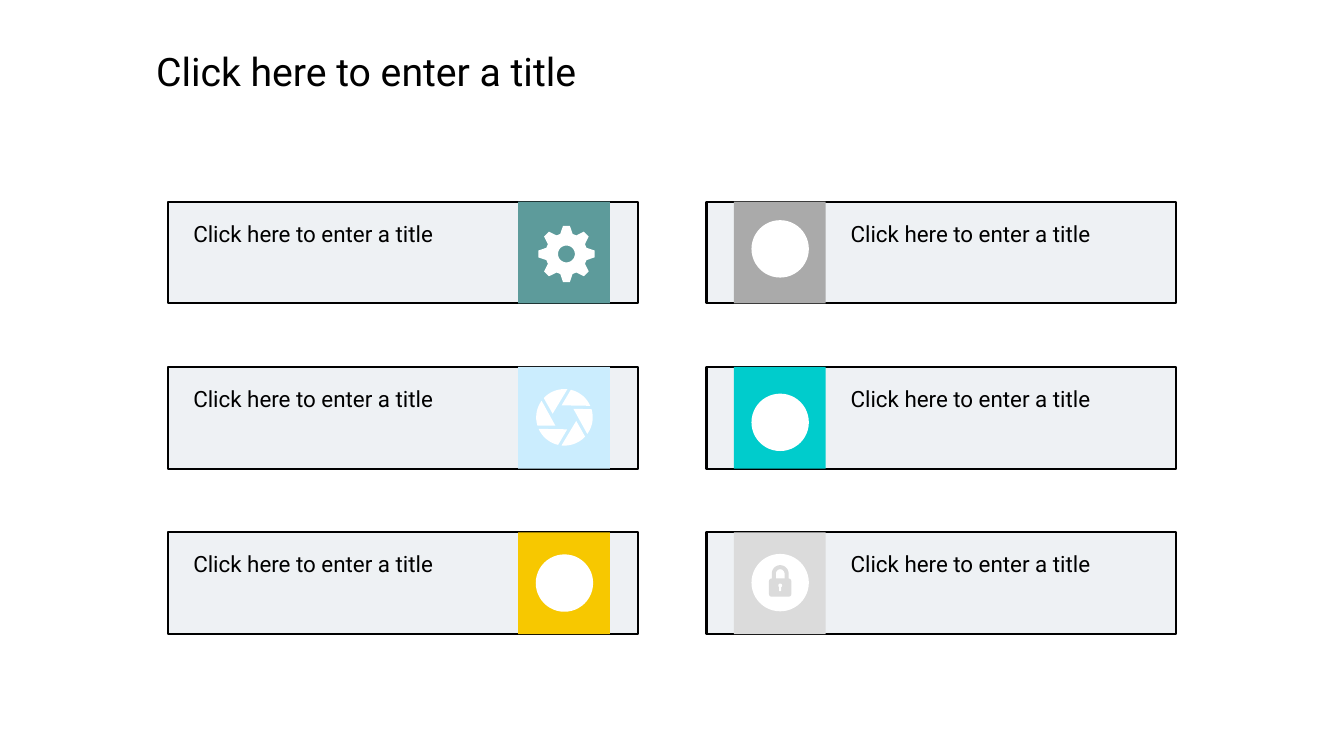
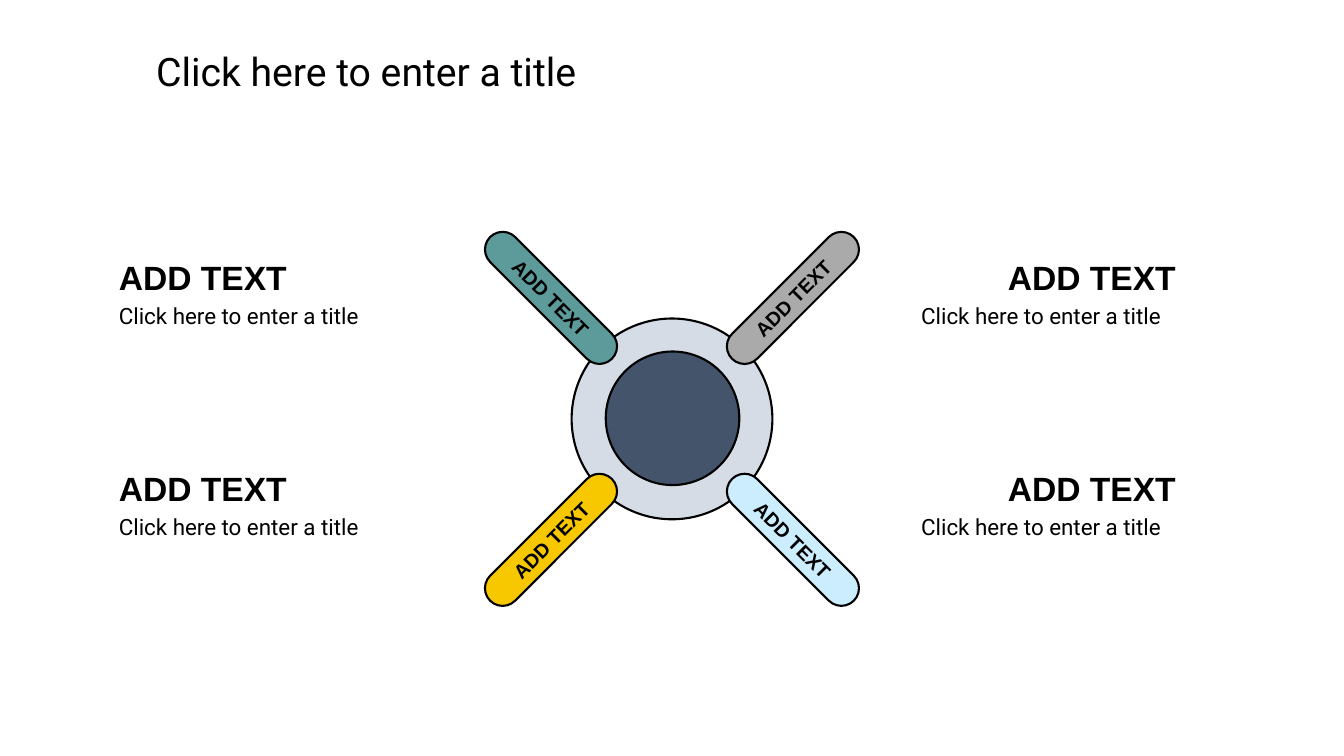
import math
from dataclasses import dataclass

import lxml.etree
import pptx
import pptx.dml.color
import pptx.enum.shapes
import pptx.enum.text
import pptx.oxml.ns
import pptx.util

Pt = pptx.util.Pt
SHAPE = pptx.enum.shapes.MSO_SHAPE
ALIGN = pptx.enum.text.PP_ALIGN
PROMPT = "Click here to enter a title"
LABEL = "ADD TEXT"


@dataclass(frozen=True)
class Theme:
    ink: str = "000000"
    white: str = "FFFFFF"
    mist: str = "D6DCE5"
    navy: str = "44546A"
    teal: str = "5D9B9B"
    grey: str = "AAAAAA"
    sky: str = "CBEDFE"
    cyan: str = "00CCCC"
    yellow: str = "F7C800"
    silver: str = "DBDBDB"
    body_font: str = "Roboto"
    label_font: str = "Arial"
    title_size: int = 28
    heading_size: int = 24
    body_size: int = 16
    label_size: int = 14
    outline: float = 1.5


THEME = Theme()


def rgb(color):
    return pptx.dml.color.RGBColor.from_string(color)


def polar(x, y, radius, degrees):
    angle = math.radians(degrees)
    return x + radius * math.cos(angle), y + radius * math.sin(angle)


def arc(x, y, radius, start, end, step=6):
    count = math.ceil(abs(end - start) / step)
    return [polar(x, y, radius, start + (end - start) * i / count) for i in range(count + 1)]


def write_text(frame, text, *, size=THEME.body_size, font=THEME.body_font, bold=False,
               align=ALIGN.LEFT, spacing=None, wrap=True, grow=True, middle=False):
    frame.word_wrap = wrap
    auto = pptx.enum.text.MSO_AUTO_SIZE
    anchor = pptx.enum.text.MSO_ANCHOR
    frame.auto_size = auto.SHAPE_TO_FIT_TEXT if grow else auto.NONE
    frame.vertical_anchor = anchor.MIDDLE if middle else anchor.TOP
    paragraph = frame.paragraphs[0]
    paragraph.alignment = align
    paragraph.line_spacing = spacing
    run = paragraph.add_run()
    run.text = text
    run.font.size = Pt(size)
    run.font.name = font
    run.font.bold = bold
    run.font.color.rgb = rgb(THEME.ink)


class Deck:
    def __init__(self, theme):
        self.theme = theme
        self.deck = pptx.Presentation()
        self.deck.slide_width = Pt(960)
        self.deck.slide_height = Pt(540)
        self.slide = None

    def new_slide(self, title):
        self.slide = self.deck.slides.add_slide(self.deck.slide_layouts[6])
        self.text(title, 104.4, 30.2, 323.3, 41, size=self.theme.title_size, wrap=False)

    def text(self, text, left, top, width, height, **style):
        box = self.slide.shapes.add_textbox(Pt(left), Pt(top), Pt(width), Pt(height))
        write_text(box.text_frame, text, **style)

    def paint(self, shape, fill, outlined=False, opacity=100):
        shape.shadow.inherit = False
        shape.fill.solid()
        shape.fill.fore_color.rgb = rgb(fill)
        if opacity < 100:
            qn = pptx.oxml.ns.qn
            color = next(shape.fill._xPr.iter(qn("a:srgbClr")))
            lxml.etree.SubElement(color, qn("a:alpha"), val=str(opacity * 1000))
        if outlined:
            shape.line.color.rgb = rgb(self.theme.ink)
            shape.line.width = Pt(self.theme.outline)
        else:
            shape.line.fill.background()
        return shape

    def shape(self, kind, left, top, width, height, fill, **paint):
        shape = self.slide.shapes.add_shape(kind, Pt(left), Pt(top), Pt(width), Pt(height))
        return self.paint(shape, fill, **paint)

    def disk(self, x, y, radius, fill, **paint):
        return self.shape(SHAPE.OVAL, x - radius, y - radius, 2 * radius, 2 * radius, fill, **paint)

    def outline(self, contours, fill):
        contours = [[(Pt(x), Pt(y)) for x, y in contour] for contour in contours]
        builder = self.slide.shapes.build_freeform(*contours[0][0])
        for index, contour in enumerate(contours):
            if index:
                builder.move_to(*contour[0])
            builder.add_line_segments(contour[1:], close=True)
        self.paint(builder.convert_to_shape(), fill)

    def gear(self, x, y, tile):
        corners = ((15, -17), (20.2, -7), (20.2, 7), (15, 17))
        teeth = [polar(x, y, radius, tooth * 45 + turn)
                 for tooth in range(8) for radius, turn in corners]
        self.outline([teeth, arc(x, y, 6, 360, 0)], self.theme.white)

    def aperture(self, x, y, tile):
        blades = [arc(x, y, 20.2, start, start - 53) + [polar(x, y, 8.8, start - 79)]
                  for start in range(-84, 276, 60)]
        self.outline(blades, self.theme.white)

    def badge(self, x, y, tile):
        self.disk(x, y, 20.5, self.theme.white)

    def lock(self, x, y, tile):
        self.badge(x, y, tile)
        bow_y = y - 6.5
        shackle = ([(x - 6, y)] + arc(x, bow_y, 6, 180, 360) + [(x + 6, y), (x + 3.1, y)]
                   + arc(x, bow_y, 3.1, 360, 180) + [(x - 3.1, y)])
        self.outline([shackle], tile)
        body = self.shape(SHAPE.ROUNDED_RECTANGLE, x - 8, y - 3, 16, 13, tile)
        body.adjustments[0] = 0.15
        self.disk(x, y + 2, 1.4, self.theme.white)
        self.shape(SHAPE.RECTANGLE, x - 0.7, y + 2, 1.4, 4, self.theme.white)

    def card(self, left, top, tile_left, text_left, tile, icon, icon_x, icon_y):
        self.shape(SHAPE.RECTANGLE, left, top, 335.5, 72.7, self.theme.mist,
                   outlined=True, opacity=40)
        self.shape(SHAPE.RECTANGLE, tile_left, top, 65.5, 72.7, tile)
        icon(icon_x, icon_y, tile)
        self.text(PROMPT, text_left, top + 9.4, 229, 26.6)

    def spoke(self, x, y, rotation, fill):
        pill = self.shape(SHAPE.ROUNDED_RECTANGLE, x - 61.5, y - 12.6, 123, 25.2, fill,
                          outlined=True)
        pill.adjustments[0] = 0.5
        pill.rotation = rotation
        write_text(pill.text_frame, LABEL, size=self.theme.label_size,
                   font=self.theme.label_font, bold=True, align=ALIGN.CENTER,
                   wrap=False, grow=False, middle=True)

    def caption(self, heading_left, body_left, top):
        self.text(PROMPT, body_left, top + 38, 238.3, 26.6)
        self.text(LABEL, heading_left, top, 176.4, 38.9, size=self.theme.heading_size,
                  font=self.theme.label_font, bold=True, align=ALIGN.JUSTIFY, spacing=1.2)


def build_cards(deck):
    theme = deck.theme
    deck.new_slide(PROMPT)
    columns = (
        (120.2, 370.1, 131, (
            (theme.teal, deck.gear, 404.6, 181.4),
            (theme.sky, deck.aperture, 403.2, 298.1),
            (theme.yellow, deck.badge, 403.2, 416.5))),
        (504.7, 524.2, 600.5, (
            (theme.grey, deck.badge, 557.3, 177.8),
            (theme.cyan, deck.badge, 557.3, 301.7),
            (theme.silver, deck.lock, 557.3, 416.2))),
    )
    for left, tile_left, text_left, cards in columns:
        for row, card in enumerate(cards):
            deck.card(left, 144 + row * 118.1, tile_left, text_left, *card)


def build_hub(deck):
    theme = deck.theme
    deck.new_slide(PROMPT)
    x, y, reach = 480, 299.2, 86.4
    deck.disk(x, y, 71.7, theme.mist, outlined=True)
    spokes = ((-1, -1, theme.teal), (1, -1, theme.grey),
              (-1, 1, theme.yellow), (1, 1, theme.sky))
    for across, down, fill in spokes:
        rotation = 45 if across == down else 315
        deck.spoke(x + across * reach, y + down * reach, rotation, fill)
    deck.disk(x + 0.4, y - 0.4, 47.7, theme.navy, outlined=True)
    for heading_left, body_left in ((77.8, 77.8), (712.8, 650.9)):
        for top in (174.2, 325.2):
            deck.caption(heading_left, body_left, top)


def main():
    deck = Deck(THEME)
    build_cards(deck)
    build_hub(deck)
    deck.deck.save("out.pptx")


if __name__ == "__main__":
    main()
